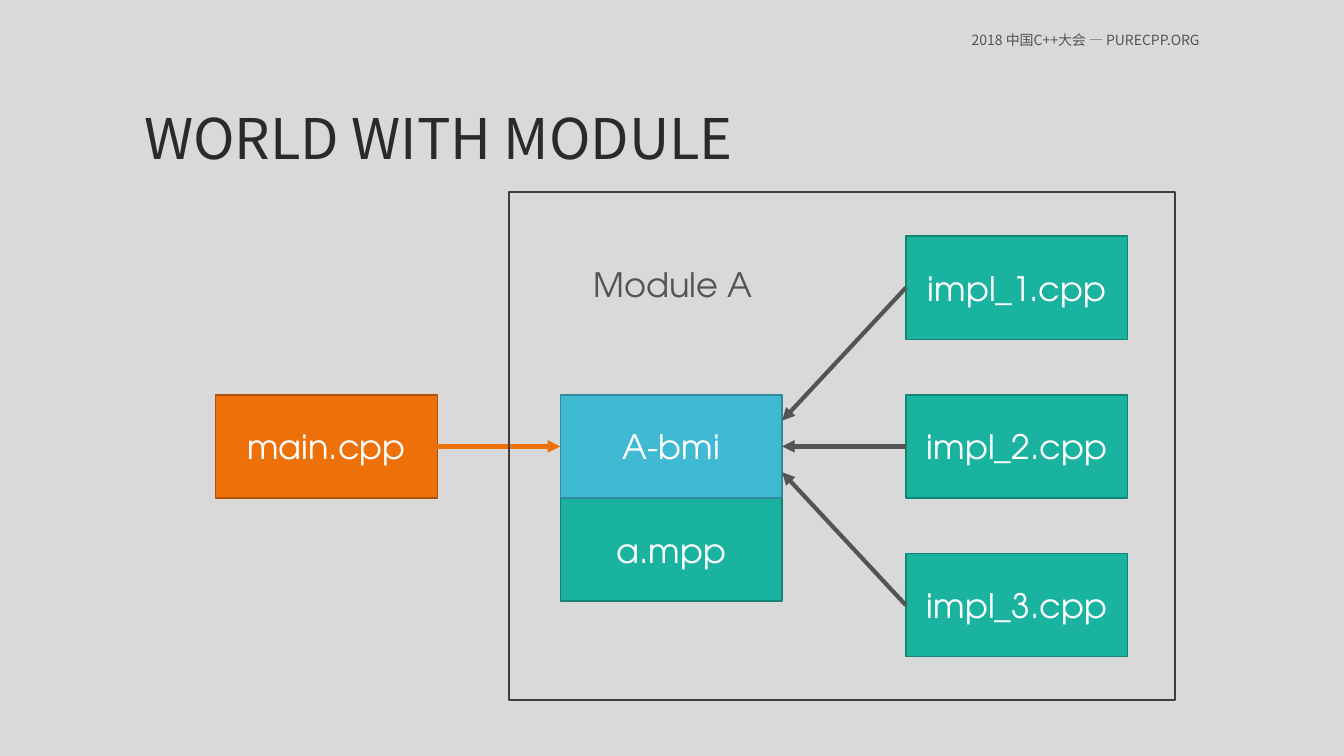
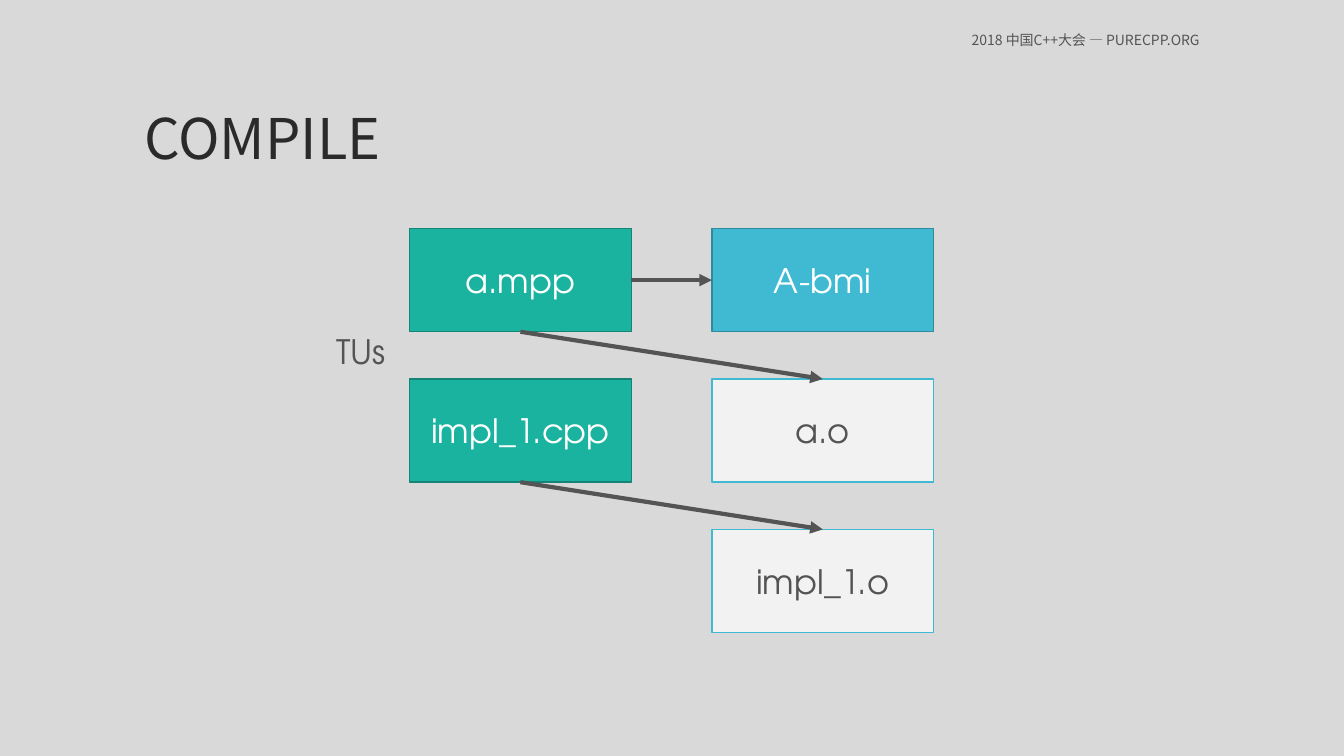
"""Build two slides on how C++ modules are organised and compiled."""
import lxml.etree
import pptx
import pptx.dml.color
import pptx.enum.shapes
import pptx.enum.text
import pptx.oxml.ns
import pptx.util

Cm = pptx.util.Cm
Pt = pptx.util.Pt
RGBColor = pptx.dml.color.RGBColor
Align = pptx.enum.text.PP_ALIGN
Anchor = pptx.enum.text.MSO_ANCHOR
RECTANGLE = pptx.enum.shapes.MSO_SHAPE.RECTANGLE
STRAIGHT = pptx.enum.shapes.MSO_CONNECTOR.STRAIGHT
qn = pptx.oxml.ns.qn

BACKGROUND = RGBColor(0xD9, 0xD9, 0xD9)
INK = RGBColor(0x2A, 0x2A, 0x2A)
GREY = RGBColor(0x54, 0x54, 0x54)
OUTLINE = RGBColor(0x3E, 0x3E, 0x3E)
WHITE = RGBColor(0xFF, 0xFF, 0xFF)
PALE = RGBColor(0xF2, 0xF2, 0xF2)
TEAL = RGBColor(0x1A, 0xB3, 0x9F)
DARK_TEAL = RGBColor(0x13, 0x84, 0x76)
ORANGE = RGBColor(0xEE, 0x70, 0x08)
DARK_ORANGE = RGBColor(0xB0, 0x53, 0x06)
BLUE = RGBColor(0x40, 0xBA, 0xD2)
DARK_BLUE = RGBColor(0x2F, 0x8A, 0x9B)

SOURCE = (TEAL, DARK_TEAL, WHITE)
MAIN = (ORANGE, DARK_ORANGE, WHITE)
INTERFACE = (BLUE, DARK_BLUE, WHITE)
OBJECT = (PALE, BLUE, GREY)

HEADING_FONT = "Noto Sans CJK SC"
DIAGRAM_FONT = "TeX Gyre Adventor"
FILE_WIDTH, FILE_HEIGHT = 5.59, 2.6
TOP, LEFT, BOTTOM, RIGHT = range(4)


class Deck:
    def __init__(self):
        self.presentation = pptx.Presentation()
        self.presentation.slide_width = Cm(33.87)
        self.presentation.slide_height = Cm(19.05)
        self.slide = None

    def new_slide(self, title):
        self.slide = self.presentation.slides.add_slide(self.presentation.slide_layouts[6])
        self.slide.background.fill.solid()
        self.slide.background.fill.fore_color.rgb = BACKGROUND
        self.text(title, 3.39, 0.76, 27.09, 3.68, 40, INK, HEADING_FONT, anchor=Anchor.BOTTOM)
        self.text("2018 中国C++大会 — PURECPP.ORG", 12.04, 0.76, 18.44, 0.51, 10, GREY,
                  HEADING_FONT, Align.RIGHT, Anchor.MIDDLE, spacing=1.0)

    def set_words(self, frame, words, size, colour, font, align):
        paragraph = frame.paragraphs[0]
        paragraph.text = words
        paragraph.alignment = align
        paragraph.font.size = Pt(size)
        paragraph.font.color.rgb = colour
        paragraph.font.name = font
        defaults = paragraph._p.pPr.find(qn("a:defRPr"))
        lxml.etree.SubElement(defaults, qn("a:ea")).set("typeface", font)
        return paragraph

    def text(self, words, left, top, width, height, size, colour, font,
             align=Align.LEFT, anchor=Anchor.TOP, spacing=0.9, wrap=True):
        box = self.slide.shapes.add_textbox(Cm(left), Cm(top), Cm(width), Cm(height))
        box.text_frame.word_wrap = wrap
        box.text_frame.vertical_anchor = anchor
        paragraph = self.set_words(box.text_frame, words, size, colour, font, align)
        paragraph.line_spacing = spacing

    def label(self, words, left, top, width):
        self.text(words, left, top, width, 1.17, 24, GREY, DIAGRAM_FONT, wrap=False)

    def rectangle(self, left, top, width, height, border, weight):
        shape = self.slide.shapes.add_shape(RECTANGLE, Cm(left), Cm(top), Cm(width), Cm(height))
        shape.shadow.inherit = False
        shape.fill.background()
        shape.line.color.rgb = border
        shape.line.width = Pt(weight)
        return shape

    def file_box(self, name, left, top, style):
        fill, border, ink = style
        shape = self.rectangle(left, top, FILE_WIDTH, FILE_HEIGHT, border, 1)
        shape.fill.solid()
        shape.fill.fore_color.rgb = fill
        shape.text_frame.vertical_anchor = Anchor.MIDDLE
        self.set_words(shape.text_frame, name, 24, ink, DIAGRAM_FONT, Align.CENTER)
        return shape

    def arrow(self, origin, origin_site, target, target_site, colour=GREY, shift=0):
        connector = self.slide.shapes.add_connector(STRAIGHT, 0, 0, 0, 0)
        connector.begin_connect(origin, origin_site)
        if shift:
            connector.end_x = target.left + target.width
            connector.end_y = target.top + target.height // 2 + Cm(shift)
        else:
            connector.end_connect(target, target_site)
        connector.line.color.rgb = colour
        connector.line.width = Pt(3)
        properties = connector._element.spPr
        outline = properties.find(qn("a:ln"))
        lxml.etree.SubElement(outline, qn("a:tailEnd")).set("type", "triangle")
        lxml.etree.SubElement(properties, qn("a:effectLst"))


def world_with_module(deck):
    deck.new_slide("WORLD WITH MODULE")
    middle, interface_left = 9.95, 14.12
    deck.file_box("a.mpp", interface_left, middle + FILE_HEIGHT, SOURCE)
    main_file = deck.file_box("main.cpp", 5.43, middle, MAIN)
    interface = deck.file_box("A-bmi", interface_left, middle, INTERFACE)
    deck.arrow(main_file, RIGHT, interface, LEFT, ORANGE)
    for number, step in enumerate((-1, 0, 1), start=1):
        implementation = deck.file_box(f"impl_{number}.cpp", 22.83, middle + 4 * step, SOURCE)
        deck.arrow(implementation, LEFT, interface, RIGHT, shift=step * FILE_HEIGHT / 4)
    deck.rectangle(12.83, 4.85, 16.79, 12.78, OUTLINE, 1.5)
    deck.label("Module A", 14.71, 6.65, 4.57)


def compile_units(deck):
    deck.new_slide("COMPILE")
    source_left, output_left = 10.32, 17.94
    rows = [5.76 + 3.79 * row for row in range(3)]
    module = deck.file_box("a.mpp", source_left, rows[0], SOURCE)
    implementation = deck.file_box("impl_1.cpp", source_left, rows[1], SOURCE)
    interface = deck.file_box("A-bmi", output_left, rows[0], INTERFACE)
    module_object = deck.file_box("a.o", output_left, rows[1], OBJECT)
    implementation_object = deck.file_box("impl_1.o", output_left, rows[2], OBJECT)
    deck.arrow(module, RIGHT, interface, LEFT)
    deck.arrow(module, BOTTOM, module_object, TOP)
    deck.arrow(implementation, BOTTOM, implementation_object, TOP)
    deck.label("TUs", 8.23, 8.33, 1.78)


def main():
    deck = Deck()
    world_with_module(deck)
    compile_units(deck)
    deck.presentation.save("out.pptx")


if __name__ == "__main__":
    main()
